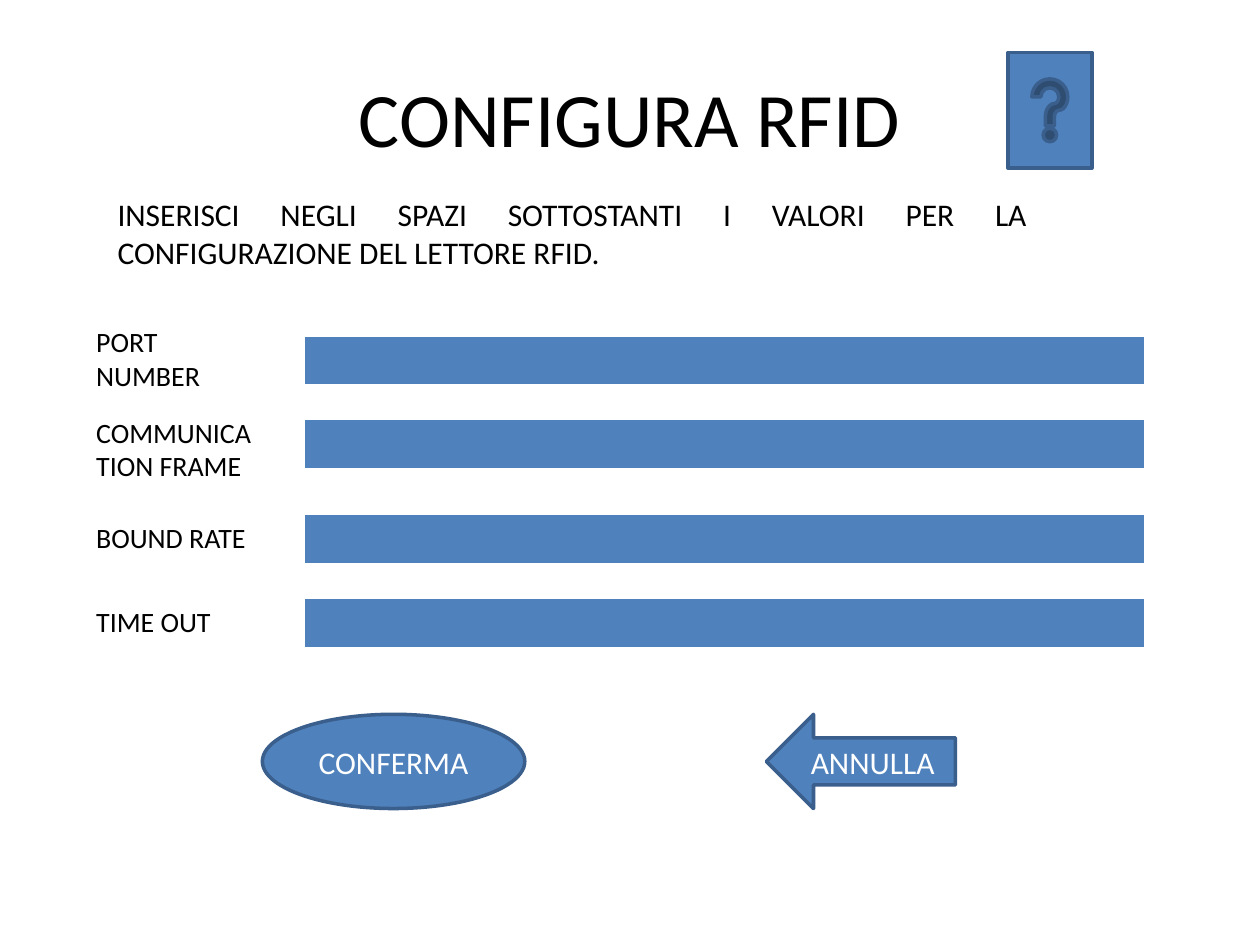
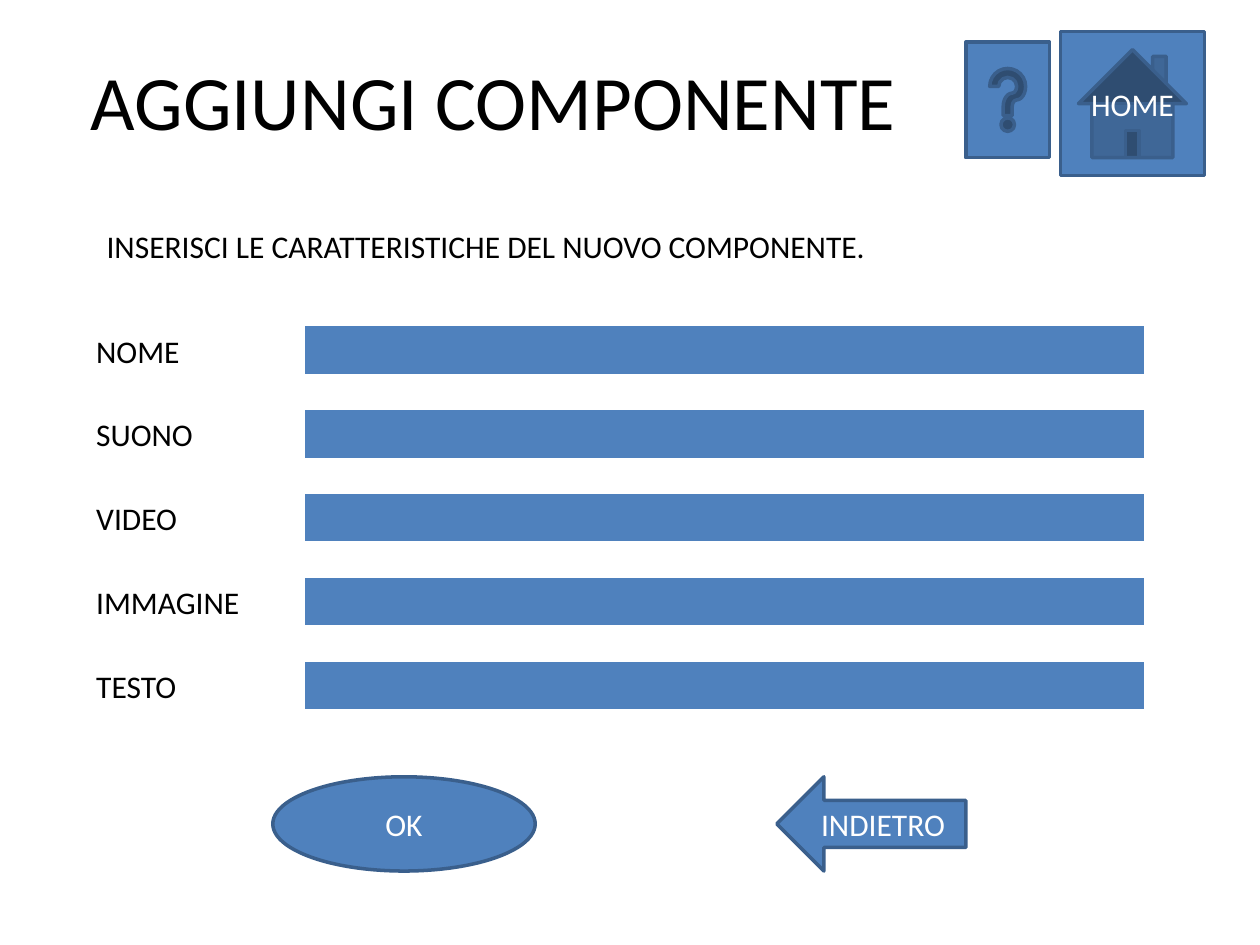
from dataclasses import dataclass

from lxml import etree
from pptx import Presentation
from pptx import util as u
from pptx.dml.color import RGBColor
from pptx.enum import shapes, text
from pptx.oxml import ns


@dataclass(frozen=True)
class Theme:
    font: str = "Calibri"
    ink: str = "000000"
    paper: str = "FFFFFF"
    accent: str = "4F81BD"
    outline: str = "3A5F8C"
    title: int = 44
    body: int = 18
    small: int = 16
    outline_width: int = 2


THEME = Theme()
ALIGN = text.PP_ALIGN
FIELD_STEP = 1.69


def color(value):
    return RGBColor.from_string(value)


def write(frame, runs, ink=THEME.ink, align=ALIGN.LEFT):
    paragraph = frame.paragraphs[0]
    paragraph.alignment = align
    for words, size in runs:
        run = paragraph.add_run()
        run.text = words
        run.font.name = THEME.font
        run.font.size = u.Pt(size)
        run.font.color.rgb = color(ink)


def add_text(slide, box, runs, align=ALIGN.LEFT, grow=True, wrap=True):
    frame = slide.shapes.add_textbox(*map(u.Cm, box)).text_frame
    frame.word_wrap = wrap
    if grow:
        frame.auto_size = text.MSO_AUTO_SIZE.SHAPE_TO_FIT_TEXT
    else:
        frame.vertical_anchor = text.MSO_ANCHOR.MIDDLE
    write(frame, runs, align=align)


def add_title(slide, left, top, words):
    add_text(slide, (left, top, 22.86, 3.18), [(words, THEME.title)],
             ALIGN.CENTER, grow=False)


def add_button(slide, kind, box, caption=""):
    shape = slide.shapes.add_shape(kind, *map(u.Cm, box))
    shape.shadow.inherit = False
    shape.fill.solid()
    shape.fill.fore_color.rgb = color(THEME.accent)
    shape.line.color.rgb = color(THEME.outline)
    shape.line.width = u.Pt(THEME.outline_width)
    if caption:
        shape.text_frame.vertical_anchor = text.MSO_ANCHOR.MIDDLE
        write(shape.text_frame, [(caption, THEME.body)], THEME.paper, ALIGN.CENTER)


def add_border(cell, side, points):
    properties = cell._tc.get_or_add_tcPr()
    line = etree.SubElement(properties, ns.qn(f"a:{side}"), w=str(u.Pt(points)))
    fill = etree.SubElement(line, ns.qn("a:solidFill"))
    etree.SubElement(fill, ns.qn("a:srgbClr"), val=THEME.paper)


def add_field(slide, left, top, runs, label_width=3.81, label_shift=0):
    table = slide.shapes.add_table(1, 1, u.Cm(left + 4.45), u.Cm(top),
                                   u.Cm(16.93), u.Cm(1.02)).table
    table.first_row = False
    table.horz_banding = False
    cell = table.cell(0, 0)
    for side, points in (("lnL", 1), ("lnR", 1), ("lnT", 1), ("lnB", 3)):
        add_border(cell, side, points)
    cell.fill.solid()
    cell.fill.fore_color.rgb = color(THEME.accent)
    add_text(slide, (left, top + label_shift, label_width, 1.02), runs)


def add_choices(slide, left, top, arrow_offset, confirm, back):
    add_button(slide, shapes.MSO_SHAPE.LEFT_ARROW,
               (left + arrow_offset, top, 3.81, 1.9), back)
    add_button(slide, shapes.MSO_SHAPE.OVAL, (left, top, 5.29, 1.9), confirm)


def add_help(slide, left, top):
    add_button(slide, shapes.MSO_SHAPE.ACTION_BUTTON_HELP, (left, top, 1.69, 2.33))


def build_reader_setup(slide):
    add_title(slide, 1.27, 0.76, "CONFIGURA RFID")
    add_choices(slide, 5.29, 14.4, 10.16, "CONFERMA", "ANNULLA")
    port = [("PORT", THEME.small), (" ", THEME.body), ("NUMBER", THEME.small)]
    frame = [("COMMUNICATION FRAME", THEME.small)]
    rate = [("BOUND RATE", THEME.small)]
    timeout = [("TIME OUT", THEME.small)]
    pairs = ((6.77, ((port, -0.42), (frame, -0.21))),
             (10.37, ((rate, 0), (timeout, 0))))
    for top, fields in pairs:
        for index, (runs, shift) in enumerate(fields):
            add_field(slide, 1.69, top + index * FIELD_STEP, runs, label_shift=shift)
    add_text(slide, (2.12, 3.81, 18.84, 1.8),
             [("INSERISCI NEGLI SPAZI SOTTOSTANTI I VALORI PER LA "
               "CONFIGURAZIONE DEL LETTORE RFID.", THEME.body)], ALIGN.JUSTIFY)
    add_help(slide, 20.32, 1.06)


def build_new_component(slide):
    add_title(slide, -1.48, 0.42, "AGGIUNGI COMPONENTE")
    add_text(slide, (1.9, 4.45, 15.95, 1.02),
             [("INSERISCI LE CARATTERISTICHE DEL NUOVO COMPONENTE.", THEME.body)],
             wrap=False)
    for index, label in enumerate(("NOME", "SUONO", "VIDEO", "IMMAGINE", "TESTO")):
        add_field(slide, 1.69, 6.56 + index * FIELD_STEP, [(label, THEME.body)], 4.23)
    add_button(slide, shapes.MSO_SHAPE.ACTION_BUTTON_HOME,
               (21.38, 0.64, 2.9, 2.9), "HOME")
    add_choices(slide, 5.5, 15.66, 10.16, "OK", "INDIETRO")
    add_help(slide, 19.47, 0.85)


presentation = Presentation()
presentation.slide_width = u.Cm(25.4)
presentation.slide_height = u.Cm(19.05)
for build in (build_reader_setup, build_new_component):
    build(presentation.slides.add_slide(presentation.slide_layouts[6]))
presentation.save("out.pptx")
